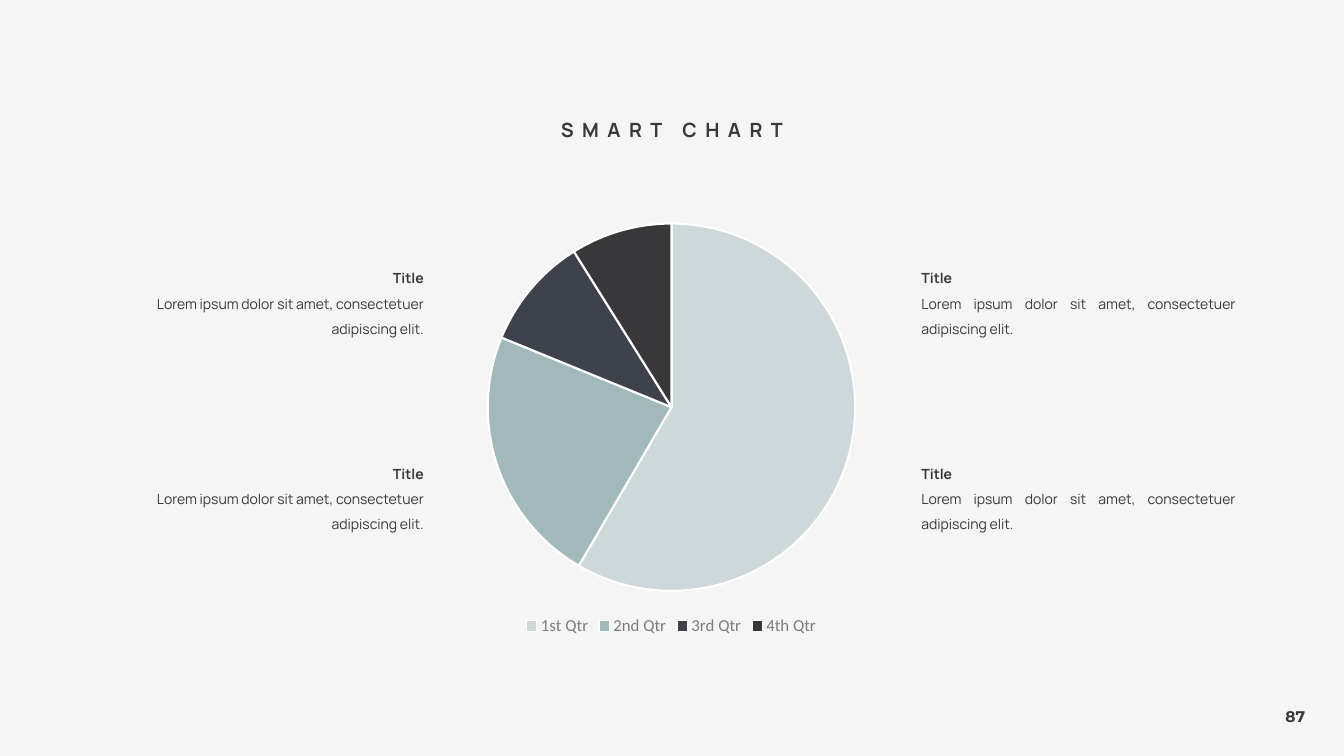
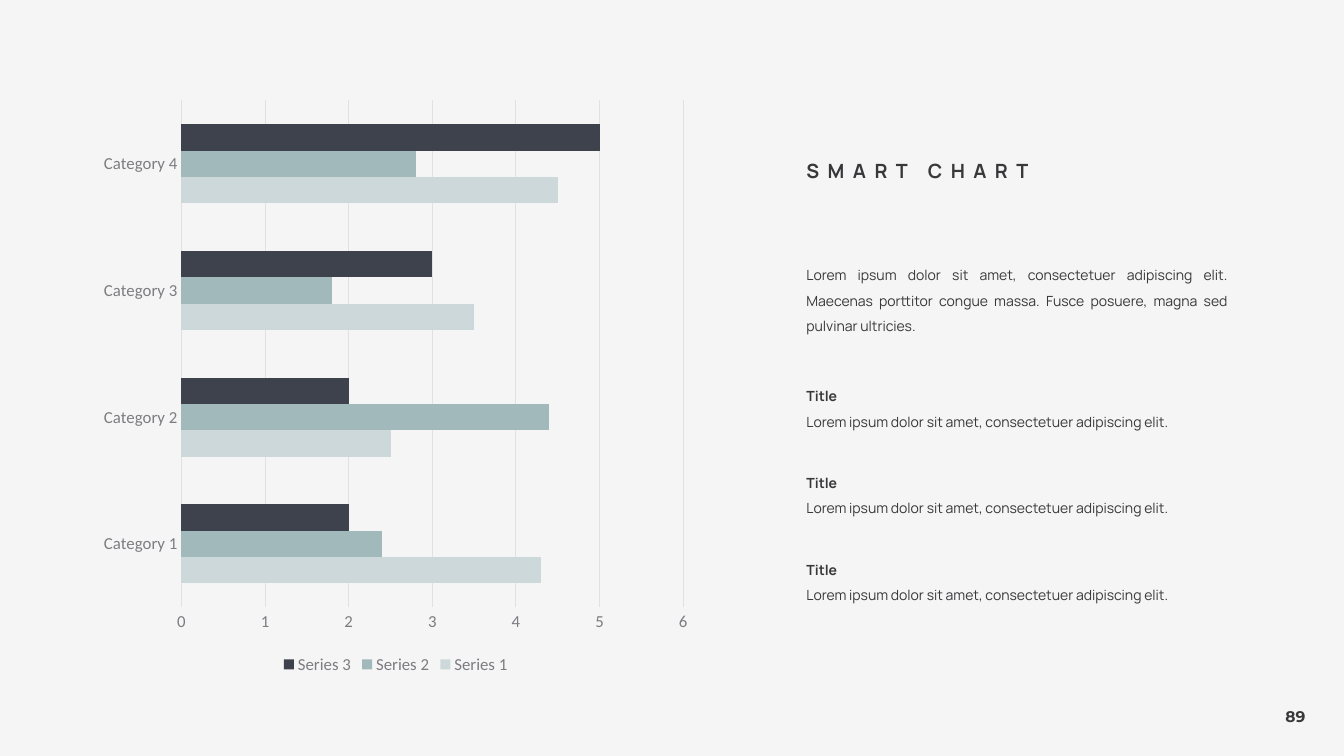
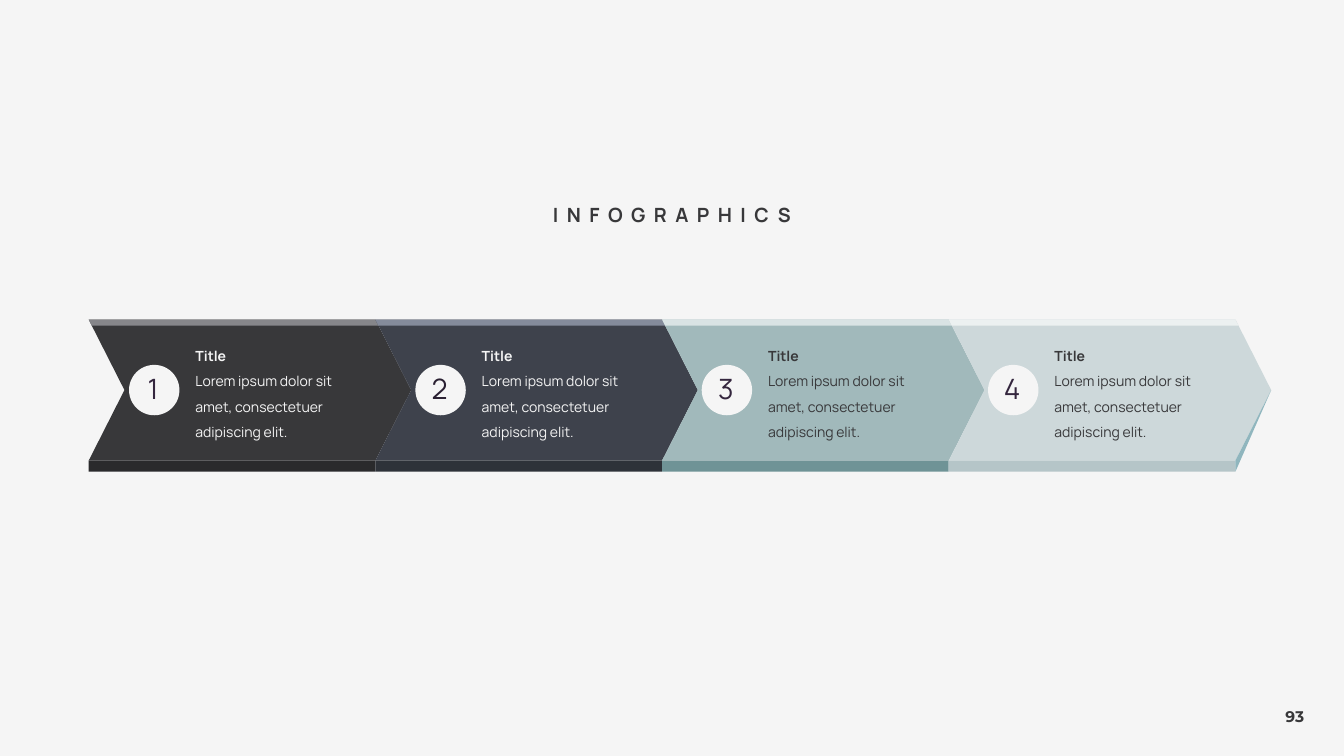
"""Build three slides: a pie chart, a bar chart and a chevron process."""
from dataclasses import dataclass

from pptx import Presentation
from pptx.chart.data import CategoryChartData
from pptx.dml.color import RGBColor
from pptx.enum.chart import XL_CHART_TYPE, XL_LEGEND_POSITION, XL_TICK_MARK
from pptx.enum.shapes import MSO_SHAPE
from pptx.enum.text import MSO_ANCHOR, MSO_AUTO_SIZE, PP_ALIGN
from pptx.util import Inches, Pt

PIE, BAR = XL_CHART_TYPE.PIE, XL_CHART_TYPE.BAR_CLUSTERED
LEGEND_BOTTOM, NO_TICK = XL_LEGEND_POSITION.BOTTOM, XL_TICK_MARK.NONE
RECT, OVAL = MSO_SHAPE.RECTANGLE, MSO_SHAPE.OVAL
TOP, MIDDLE, BOTTOM = MSO_ANCHOR.TOP, MSO_ANCHOR.MIDDLE, MSO_ANCHOR.BOTTOM
GROW = MSO_AUTO_SIZE.SHAPE_TO_FIT_TEXT
LEFT, CENTER, RIGHT, JUSTIFY = PP_ALIGN.LEFT, PP_ALIGN.CENTER, PP_ALIGN.RIGHT, PP_ALIGN.JUSTIFY


@dataclass(frozen=True)
class Theme:
    """Colours, fonts and type sizes shared by the slides."""
    paper: str = "F5F5F5"
    ink: str = "38383A"
    muted: str = "7C7C81"
    grid: str = "E1E1E2"
    edge: str = "90B6BE"
    series: tuple = ("CDD8DA", "A1B9BB", "3E424C", "38383A")
    text_font: str = "Manrope"
    number_font: str = "Montserrat"
    chart_font: str = "Calibri"
    title: int = 14
    legend: int = 12
    page: int = 11
    body: int = 10
    step: int = 20


T = Theme()
LOREM = "Lorem ipsum dolor sit amet, consectetuer adipiscing elit."
MAECENAS = LOREM + " Maecenas porttitor congue massa. Fusce posuere, magna sed pulvinar ultricies."

# fill, top band, bottom band, text colour, number colour
STEPS = (
    ("38383A", "86868A", "2A2A2C", T.paper, "34263E"),
    ("3E424C", "848B9B", "2E3239", T.paper, "2A2032"),
    ("A1B9BB", "D9E3E4", "6F9396", T.ink, "34263E"),
    ("CDD8DA", "ECF1F1", "B5C5C8", T.ink, "34263E"),
)


def rgb(value):
    """Return a colour from its hex value."""
    return RGBColor.from_string(value)


def apply(obj, values):
    """Set each named value on an object."""
    for name, value in values.items():
        setattr(obj, name, value)


def inches(box):
    """Convert lengths in inches."""
    return [Inches(v) for v in box]


def style_font(font, size, color, name=T.text_font, bold=False):
    """Format a font."""
    apply(font, {"size": Pt(size), "name": name, "bold": bold})
    font.color.rgb = rgb(color)


def style_line(line, color, width):
    """Format a line."""
    line.color.rgb = rgb(color)
    line.width = Pt(width)


def paint(sp, color):
    """Give a shape a flat fill without line or shadow."""
    sp.shadow.inherit = False
    sp.fill.solid()
    sp.fill.fore_color.rgb = rgb(color)
    sp.line.fill.background()
    return sp


def add_text(shapes, box, lines, align=LEFT, anchor=MIDDLE, spacing=1.5, wrap=True):
    """Add a text box from (text, font values) lines and return its runs."""
    tf = shapes.add_textbox(*inches(box)).text_frame
    apply(tf, {"word_wrap": wrap, "vertical_anchor": anchor, "auto_size": GROW})
    runs = []
    for i, (text, font) in enumerate(lines):
        p = tf.add_paragraph() if i else tf.paragraphs[0]
        apply(p, {"alignment": align, "line_spacing": spacing})
        r = p.add_run()
        r.text = text
        style_font(r.font, **font)
        runs.append(r)
    return runs


def add_title(s, text, left, top, align=CENTER):
    """Add a letter-spaced slide title."""
    font = {"size": T.title, "color": T.ink, "bold": True}
    r, = add_text(s.shapes, (left, top, 4.37, 0.41), [(text, font)], align, BOTTOM)
    r.font._element.set("spc", "600")


def add_item(shapes, box, align=LEFT, color=T.ink):
    """Add a bold heading with its description."""
    font = {"size": T.body, "color": color}
    add_text(shapes, box, [("Title", {**font, "bold": True}), (LOREM, font)], align)


def add_slide(prs, number):
    """Add a blank slide with its page number."""
    s = prs.slides.add_slide(prs.slide_layouts[6])
    font = {"size": T.page, "color": T.ink, "name": T.number_font, "bold": True}
    add_text(s.shapes, (12.65, 6.97, 0.41, 0.29), [(str(number), font)],
             anchor=TOP, spacing=1.0, wrap=False)
    return s


def add_chart(s, kind, box, categories, series):
    """Add a chart with the shared font and legend."""
    data = CategoryChartData()
    data.categories = categories
    for i, values in enumerate(series, 1):
        data.add_series(f"Series {i}", values)
    chart = s.shapes.add_chart(kind, *inches(box), data).chart
    apply(chart, {"has_title": False, "has_legend": True})
    style_font(chart.font, T.body, T.ink, T.chart_font)
    apply(chart.legend, {"position": LEGEND_BOTTOM, "include_in_layout": False})
    style_font(chart.legend.font, T.legend, T.muted, T.chart_font)
    return chart


def fill_format(fmt, color):
    """Fill a chart element."""
    fmt.fill.solid()
    fmt.fill.fore_color.rgb = rgb(color)


def add_freeform(shapes, points, color):
    """Add a closed outline through points in inches."""
    start, *rest = [inches(pt) for pt in points]
    builder = shapes.build_freeform(*start)
    builder.add_line_segments(rest, close=True)
    return paint(builder.convert_to_shape(), color)


def add_step(s, i, colors):
    """Add one chevron of the process with its number and text."""
    fill, light, dark, ink, number_ink = colors
    width, notch, top, mid, base = 8.53 / 3, 0.355, 3.17, 3.87, 4.57
    left = 0.88 + i * width
    right, offset = left + width, i * 2.84
    g = s.shapes.add_group_shape().shapes
    add_freeform(g, [(left, top), (right, top), (right + notch, mid), (right, base),
                     (left, base), (left + notch, mid)], fill)
    paint(g.add_shape(RECT, *inches((left, base, width, 0.11))), dark)
    if i == len(STEPS) - 1:
        add_freeform(g, [(right + notch, mid), (right, base + 0.11), (right, base)], T.edge)
    add_freeform(g, [(left, top), (right, top), (right + 0.03, top + 0.06),
                     (left + 0.03, top + 0.06)], light)
    sp = paint(g.add_shape(OVAL, *inches((1.28 + offset, 3.62, 0.5, 0.5))), T.paper)
    tf = sp.text_frame
    apply(tf, {"margin_left": 0, "margin_right": Inches(0.02), "margin_top": 0,
               "margin_bottom": Inches(0.04), "word_wrap": False, "vertical_anchor": MIDDLE})
    p = tf.paragraphs[0]
    p.alignment = CENTER
    r = p.add_run()
    r.text = str(i + 1)
    style_font(r.font, T.step, number_ink)
    add_item(g, (1.84 + offset, 3.31, 1.9, 1.11), color=ink)


def build_pie(prs):
    """Build the pie chart slide."""
    s = add_slide(prs, 87)
    chart = add_chart(s, PIE, (3.46, 2.08, 6.4, 4.27),
                      ("1st Qtr", "2nd Qtr", "3rd Qtr", "4th Qtr"), [(59, 23, 10, 9)])
    for i, color in enumerate(T.series):
        fmt = chart.plots[0].series[0].points[i].format
        fill_format(fmt, color)
        style_line(fmt.line, "FFFFFF", 1.5)
    for left, align in ((9.04, JUSTIFY), (0.99, RIGHT)):
        for top in (2.54, 4.48):
            add_item(s.shapes, (left, top, 3.31, 0.86), align)
    add_title(s, "SMART CHART", 4.48, 1.04)


def build_bars(prs):
    """Build the bar chart slide."""
    s = add_slide(prs, 89)
    chart = add_chart(s, BAR, (0.91, 0.88, 6.03, 5.85),
                      [f"Category {n}" for n in range(1, 5)],
                      [(4.3, 2.5, 3.5, 4.5), (2.4, 4.4, 1.8, 2.8), (2, 2, 3, 5)])
    plot = chart.plots[0]
    apply(plot, {"gap_width": 182, "vary_by_categories": False})
    for series, color in zip(plot.series, T.series):
        fill_format(series.format, color)
    cat, val = chart.category_axis, chart.value_axis
    for axis in (cat, val):
        apply(axis, {"major_tick_mark": NO_TICK, "minor_tick_mark": NO_TICK})
        style_font(axis.tick_labels.font, T.legend, T.muted, T.chart_font)
    apply(val, {"minimum_scale": 0, "maximum_scale": 6, "major_unit": 1,
                "has_major_gridlines": True})
    val.format.line.fill.background()
    for line in (cat.format.line, val.major_gridlines.format.line):
        style_line(line, T.grid, 0.75)
    left, width = 7.9, 4.37
    add_text(s.shapes, (left, 2.51, width, 0.86),
             [(MAECENAS, {"size": T.body, "color": T.ink})], JUSTIFY)
    add_title(s, "SMART CHART", left, 1.45, LEFT)
    for i in range(3):
        add_item(s.shapes, (left, 3.71 + i * 0.86, width, 0.61), JUSTIFY)


def build_process(prs):
    """Build the chevron process slide."""
    s = add_slide(prs, 93)
    for i, colors in enumerate(STEPS):
        add_step(s, i, colors)
    add_title(s, "INFOGRAPHICS", 4.48, 1.89)


def main():
    """Build and save the presentation."""
    prs = Presentation()
    apply(prs, {"slide_width": Inches(13.33), "slide_height": Inches(7.5)})
    fill_format(prs.slide_master.background, T.paper)
    for build in (build_pie, build_bars, build_process):
        build(prs)
    prs.save("out.pptx")


if __name__ == "__main__":
    main()
